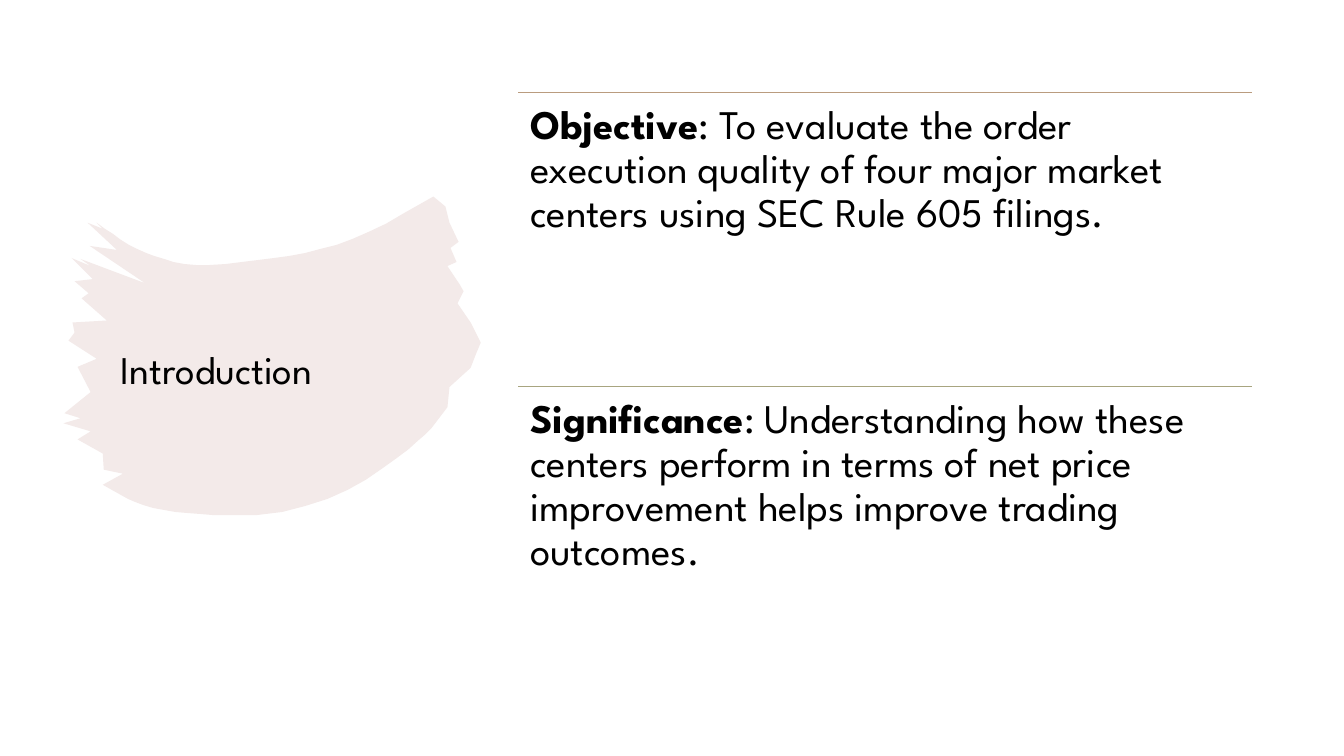
from itertools import pairwise

from lxml import etree
from pptx import Presentation
from pptx.dml.color import RGBColor
from pptx.enum.shapes import MSO_CONNECTOR
from pptx.enum.text import MSO_ANCHOR, MSO_AUTO_SIZE, PP_ALIGN
from pptx.oxml.ns import qn
from pptx.util import Cm, Pt

# Content
TITLE = "Introduction"
POINTS = [
    ("Objective", ": To evaluate the order execution quality of four major "
     "market centers using SEC Rule 605 filings.", "BA9C7F"),
    ("Significance", ": Understanding how these centers perform in terms of "
     "net price improvement helps improve trading outcomes.", "A8A580"),
]
FONT, BLACK, BRUSH = "League Spartan", "000000", "F3EAE9"

# Layout in centimetres
TITLE_BOX = (2.79, 7.29, 8.36, 4.17)
BLOCK_X, BLOCK_Y, BLOCK_W, BLOCK_H = 13.06, 2.33, 18.48, 7.41
INSET = 0.3

# Brush stroke, in units of BRUSH_UNIT centimetres
BRUSH_UNIT = 0.0254
CURVE_STEPS = 12
# Smooth edges: start, two control points, end
TOP_CURVES = [
    [(96, 221), (130, 245), (155, 263), (207, 263)],
    [(207, 263), (275, 257), (330, 254), (400, 212)],
]
BOTTOM_CURVES = [
    [(428, 425), (427, 425), (357, 504), (255, 511)],
    [(255, 511), (220, 513), (150, 509), (127, 495)],
]
# Ragged edges: tip x, tip y, depth of the notch before the next tip
RIGHT_BRISTLES = [
    (430, 195, 0), (442, 205, -3), (455, 240, -7), (453, 260, -9),
    (452, 276, 0), (460, 289, -9), (467, 320, 0), (477, 340, 0),
    (467, 365, -9), (444, 404, 0),
]
LEFT_BRISTLES = [
    (102, 481, 20), (103, 466, 12), (77, 436, 20), (63, 420, 16),
    (64, 410, 20), (77, 364, 24), (68, 338, 4), (72, 320, 30),
    (81, 296, 10), (74, 279, 20), (71, 256, 15), (80, 257, 60),
    (89, 244, 28), (87, 221, 10), (96, 221, 0),
]
LEVEL_Y, SLANT = 420, 0.003  # bristles tilt more the higher they sit


def color(value):
    return RGBColor.from_string(value)


def bezier(curve):
    """Points at equal steps along one cubic curve."""
    points = []
    for step in range(CURVE_STEPS + 1):
        t = step / CURVE_STEPS
        weights = ((1 - t) ** 3, 3 * t * (1 - t) ** 2,
                   3 * t ** 2 * (1 - t), t ** 3)
        points.append(tuple(sum(w * v for w, v in zip(weights, axis))
                            for axis in zip(*curve)))
    return points


def ragged(bristles):
    """Each tip, then a notch cut in halfway to the next tip."""
    points = []
    for (x, y, depth), (next_x, next_y, _) in pairwise(bristles):
        mid_x, mid_y = (x + next_x) / 2, (y + next_y) / 2
        tilt = (LEVEL_Y - mid_y) * SLANT
        points += [(x, y), (mid_x + depth, mid_y + depth * tilt)]
    return points + [bristles[-1][:2]]


def smooth(curves):
    return [point for curve in curves for point in bezier(curve)]


def add_brush(s):
    outline = (smooth(TOP_CURVES) + ragged(RIGHT_BRISTLES)
               + smooth(BOTTOM_CURVES) + ragged(LEFT_BRISTLES))
    builder = s.shapes.build_freeform(*outline[0], scale=Cm(BRUSH_UNIT))
    builder.add_line_segments(outline[1:], close=True)
    sp = builder.convert_to_shape()
    sp.shadow.inherit = False
    sp.fill.solid()
    sp.fill.fore_color.rgb = color(BRUSH)
    sp.line.fill.background()


def add_run(p, text, **fmt):
    r = p.add_run()
    r.text = text
    for name, value in {"name": FONT, "bold": False, **fmt}.items():
        setattr(r.font, name, value)
    r.font.color.rgb = color(BLACK)


def set_frame(tf, **fmt):
    settings = {"word_wrap": True, "auto_size": MSO_AUTO_SIZE.NONE, **fmt}
    for name, value in settings.items():
        setattr(tf, name, value)
    p = tf.paragraphs[0]
    p.alignment, p.line_spacing = PP_ALIGN.LEFT, 0.9
    return p


def add_title(s):
    title = s.shapes.title
    for name, value in zip(("left", "top", "width", "height"), TITLE_BOX):
        setattr(title, name, Cm(value))
    s.shapes._spTree.append(title._element)  # in front of the brush stroke
    p = set_frame(title.text_frame, vertical_anchor=MSO_ANCHOR.MIDDLE)
    add_run(p, TITLE, size=Pt(28))


def add_rule(s, y, line_color):
    rule = s.shapes.add_connector(MSO_CONNECTOR.STRAIGHT, Cm(BLOCK_X), Cm(y),
                                  Cm(BLOCK_X + BLOCK_W), Cm(y))
    rule.line.color.rgb = color(line_color)
    rule.line.width = Pt(1)
    etree.SubElement(rule._element.spPr, qn("a:effectLst"))


def add_point(s, y, label, text):
    sp = s.shapes.add_textbox(Cm(BLOCK_X), Cm(y), Cm(BLOCK_W), Cm(BLOCK_H))
    margins = {f"margin_{side}": Cm(INSET)
               for side in ("left", "top", "right", "bottom")}
    p = set_frame(sp.text_frame, vertical_anchor=MSO_ANCHOR.TOP, **margins)
    add_run(p, label, size=Pt(29), bold=True)
    add_run(p, text, size=Pt(29))


def main():
    prs = Presentation()
    prs.slide_width, prs.slide_height = Cm(33.87), Cm(19.05)
    s = prs.slides.add_slide(prs.slide_layouts[5])

    # Left: title on a brush stroke
    add_brush(s)
    add_title(s)

    # Right: points, each under its own rule
    for i, (label, text, line_color) in enumerate(POINTS):
        y = BLOCK_Y + i * BLOCK_H
        add_rule(s, y, line_color)
        add_point(s, y, label, text)

    prs.save("out.pptx")


if __name__ == "__main__":
    main()
